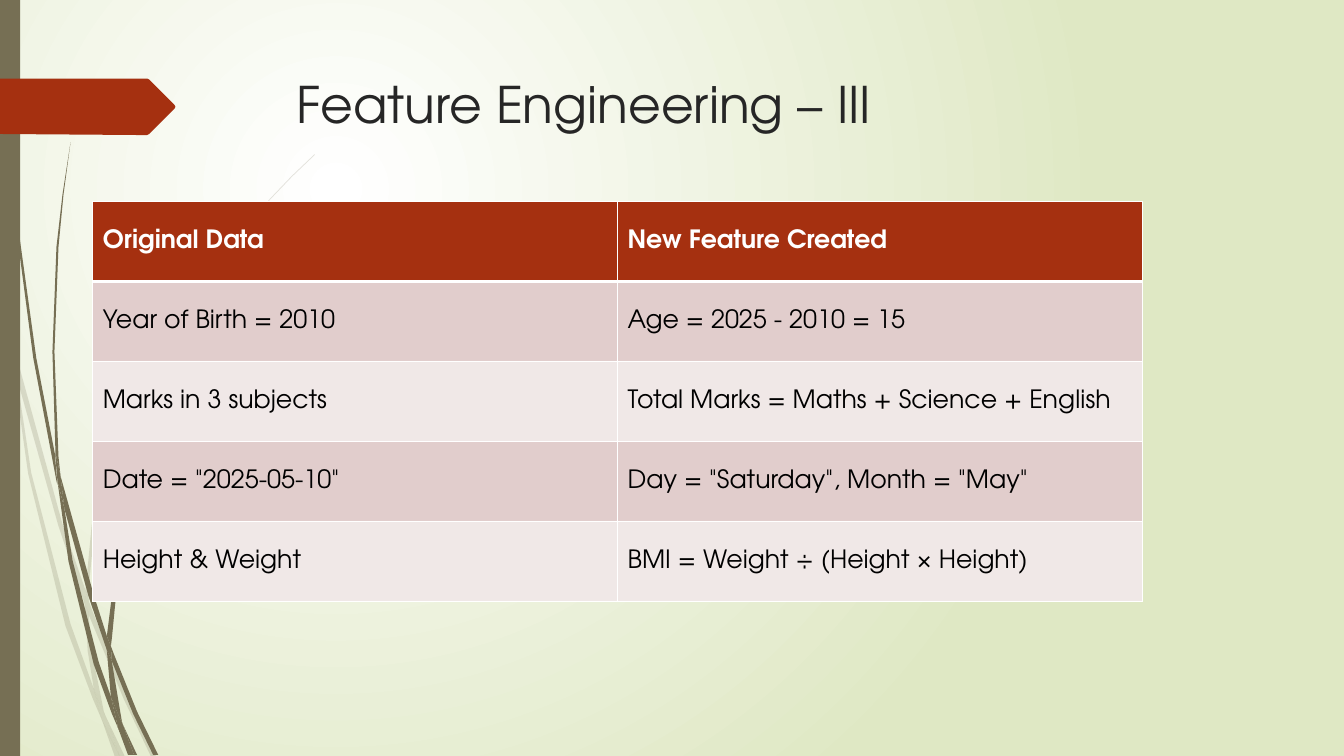
from pptx import Presentation
from pptx.dml.color import RGBColor as Rgb
from pptx.enum.shapes import MSO_SHAPE as Kind
from pptx.enum.text import MSO_ANCHOR as Anchor
from pptx.oxml import parse_xml
from pptx.oxml.ns import nsdecls, qn
from pptx.util import Inches, Pt
from lxml import etree

HUES = {"olive": "766F54", "rust": "A53010", "ink": "262626", "white": "FFFFFF",
        "black": "000000", "pink": "E1CDCC", "pale": "F0E8E7", "green": "DFE8C4"}

# Outlines of the grass blades, as "x,y" points in inches
FAINT = [
    "0.11,3.5 0.09,3.22 0,2.82 0,2.99 0.1,3.44",
    "0.58,5.22 0.84,5.99 0.85,5.86 0.62,5.2 0.14,3.45 0.17,3.76",
    "0.92,6.07 0.88,5.96 0.88,6.1 1.23,6.94 1.5,7.51 1.55,7.51 1.27,6.92",
    "1.19,7.51 1.24,7.51 1.05,7.11",
    "0.93,6.83 0.7,6.19 0.31,4.69 0.17,3.76 0.11,3.5 0.28,4.7 0.65,6.21 "
    "0.92,6.93 1.01,7.14 0.99,7.07",
    "0.84,5.99 0.87,6.46 0.93,6.83 0.96,6.92 1.05,7.11 1.03,7.06 0.91,6.46 "
    "0.88,6.1 0.88,6.08",
    "0.88,5.84 0.94,5.22 1.1,4.62 1.6,3.49 2.29,2.45 2.68,1.98 2.9,1.75 3.12,1.54 "
    "3.12,1.53 2.89,1.75 2.68,1.97 2.28,2.44 1.58,3.48 1.07,4.61 0.91,5.21 "
    "0.85,5.84 0.85,5.86 0.88,5.96",
    "1.01,7.14 1.14,7.51 1.19,7.51",
    "0.88,6.08 0.88,6.1 0.88,5.96 0.85,5.86 0.84,5.99",
    "0.96,6.92 0.93,6.83 0.99,7.07 1.01,7.14 1.19,7.51 1.05,7.11",
]
DARK = [
    "0.07,1.1 0.17,2.33 0.33,3.55 0.56,4.77 0.57,4.81 0.55,4.57 0.55,4.53 "
    "0.36,3.55 0.19,2.32 0.08,1.09 0.05,0.48 0.04,0 0.03,0 0.04,0.48",
    "0.88,5.92 1.06,6.45 1.06,6.33 1.06,6.31 0.93,5.9 0.6,4.72 0.64,5.05",
    "1.13,6.49 1.1,6.41 1.11,6.56 1.32,7.08 1.52,7.49 1.57,7.49 1.36,7.06",
    "1.1,6.91 0.98,6.57 0.72,5.56 0.64,5.05 0.57,4.77 0.68,5.57 0.93,6.59 "
    "1.11,7.08 1.17,7.22 1.16,7.17",
    "0.6,4.72 0.58,4.53 0.54,3.49 0.58,2.45 0.63,1.93 0.7,1.41 0.62,1.93 "
    "0.56,2.45 0.52,3.49 0.55,4.49",
    "1.33,7.49 1.36,7.49 1.22,7.19",
    "0.57,4.77 0.64,5.05 0.6,4.72 0.55,4.49 0.55,4.53",
    "1.11,6.33 1.15,5.92 1.25,5.52 1.58,4.76 2.05,4.06 2.31,3.74 2.45,3.59 "
    "2.61,3.44 2.6,3.44 2.45,3.58 2.31,3.73 2.04,4.05 1.56,4.74 1.22,5.51 "
    "1.11,5.91 1.06,6.31 1.1,6.41",
    "1.17,7.22 1.27,7.49 1.31,7.49",
    "1.06,6.45 1.1,6.91 1.16,7.06 1.22,7.19 1.21,7.16 1.11,6.56 1.09,6.51",
    "1.06,6.45 1.09,6.51 1.11,6.56 1.1,6.41 1.06,6.31 1.06,6.33",
    "1.16,7.06 1.1,6.91 1.16,7.17 1.17,7.22 1.3,7.49 1.33,7.49 1.22,7.19",
]
ARROW = ("1.73,1.08 1.48,1.33 1.46,1.34 1.36,1.34 0,1.33 0,0.78 1.36,0.78 "
         "1.46,0.78 1.48,0.79 1.73,1.04 1.74,1.06")

ROWS = [
    ("Original Data", "New Feature Created"),
    ("Year of Birth = 2010", "Age = 2025 - 2010 = 15"),
    ("Marks in 3 subjects", "Total Marks = Maths + Science + English"),
    ('Date = "2025-05-10"', 'Day = "Saturday", Month = "May"'),
    ("Height & Weight", "BMI = Weight ÷ (Height × Height)"),
]


class Deck:
    font = "TeX Gyre Adventor"

    def __init__(self):
        self.prs = Presentation()
        self.prs.slide_width, self.prs.slide_height = Inches(13.33), Inches(7.5)
        self.slide = self.prs.slides.add_slide(self.prs.slide_layouts[6])
        self.shapes = self.slide.shapes

    def glow(self, inner, outer):
        self.slide.background.fill.solid()
        props = self.slide.element.find(".//" + qn("p:bgPr"))
        props.replace(props[0], parse_xml(
            f'<a:gradFill {nsdecls("a")} rotWithShape="1"><a:gsLst>'
            f'<a:gs pos="0"><a:srgbClr val="{HUES[inner]}"/></a:gs>'
            f'<a:gs pos="100000"><a:srgbClr val="{HUES[outer]}"/></a:gs></a:gsLst>'
            '<a:path path="circle"><a:fillToRect l="50000" t="50000" r="100000" '
            'b="100000"/></a:path></a:gradFill>'))

    def paint(self, shape, hue, alpha=100):
        shape.shadow.inherit = False
        shape.fill.solid()
        shape.fill.fore_color.rgb = Rgb.from_string(HUES[hue])
        shape.line.fill.background()
        if alpha < 100:
            color = shape.element.spPr.find(".//" + qn("a:srgbClr"))
            etree.SubElement(color, qn("a:alpha"), val=str(alpha * 1000))

    def outline(self, text, hue, alpha=100):
        first, *rest = [tuple(Inches(float(n)) for n in pair.split(","))
                        for pair in text.split()]
        form = self.shapes.build_freeform(*first)
        form.add_line_segments(rest, close=True)
        self.paint(form.convert_to_shape(), hue, alpha)

    def block(self, box, hue):
        shape = self.shapes.add_shape(Kind.RECTANGLE, *map(Inches, box))
        self.paint(shape, hue)

    def label(self, frame, text, size, hue, bold=False):
        run = frame.paragraphs[0].add_run()
        run.text = text
        run.font.name, run.font.size, run.font.bold = self.font, Pt(size), bold
        run.font.color.rgb = Rgb.from_string(HUES[hue])

    def title(self, box, text):
        frame = self.shapes.add_textbox(*map(Inches, box)).text_frame
        frame.word_wrap = True
        self.label(frame, text, 36, "ink")

    def edge(self, cell, side, width):
        line = etree.SubElement(cell._tc.get_or_add_tcPr(), qn("a:ln" + side),
                                w=str(Pt(width)))
        fill = etree.SubElement(line, qn("a:solidFill"))
        etree.SubElement(fill, qn("a:srgbClr"), val=HUES["white"])

    def table(self, box, rows):
        grid = self.shapes.add_table(len(rows), len(rows[0]), *map(Inches, box)).table
        grid.horz_banding = False
        for r, row in enumerate(rows):
            head = r == 0
            back = "rust" if head else ("pale", "pink")[r % 2]
            for c, text in enumerate(row):
                cell = grid.cell(r, c)
                cell.vertical_anchor = Anchor.MIDDLE
                for side in "LRTB":
                    thick = (r, side) in ((0, "B"), (1, "T"))
                    self.edge(cell, side, 3 if thick else 1)
                cell.fill.solid()
                cell.fill.fore_color.rgb = Rgb.from_string(HUES[back])
                self.label(cell.text_frame, text, 18,
                           "white" if head else "black", head)


def main():
    deck = Deck()
    # Backdrop and grass
    deck.glow("white", "green")
    for blade in FAINT:
        deck.outline(blade, "olive", 20)
    for blade in DARK:
        deck.outline(blade, "olive")
    # Side bar and arrow tag
    deck.block((0, 0, 0.2, 7.5), "olive")
    deck.outline(ARROW, "rust")
    # Title and table
    deck.title((2.84, 0.68, 9.75, 1.4), "Feature Engineering – III")
    deck.table((0.92, 2, 10.41, 3.97), ROWS)
    deck.prs.save("out.pptx")


if __name__ == "__main__":
    main()
